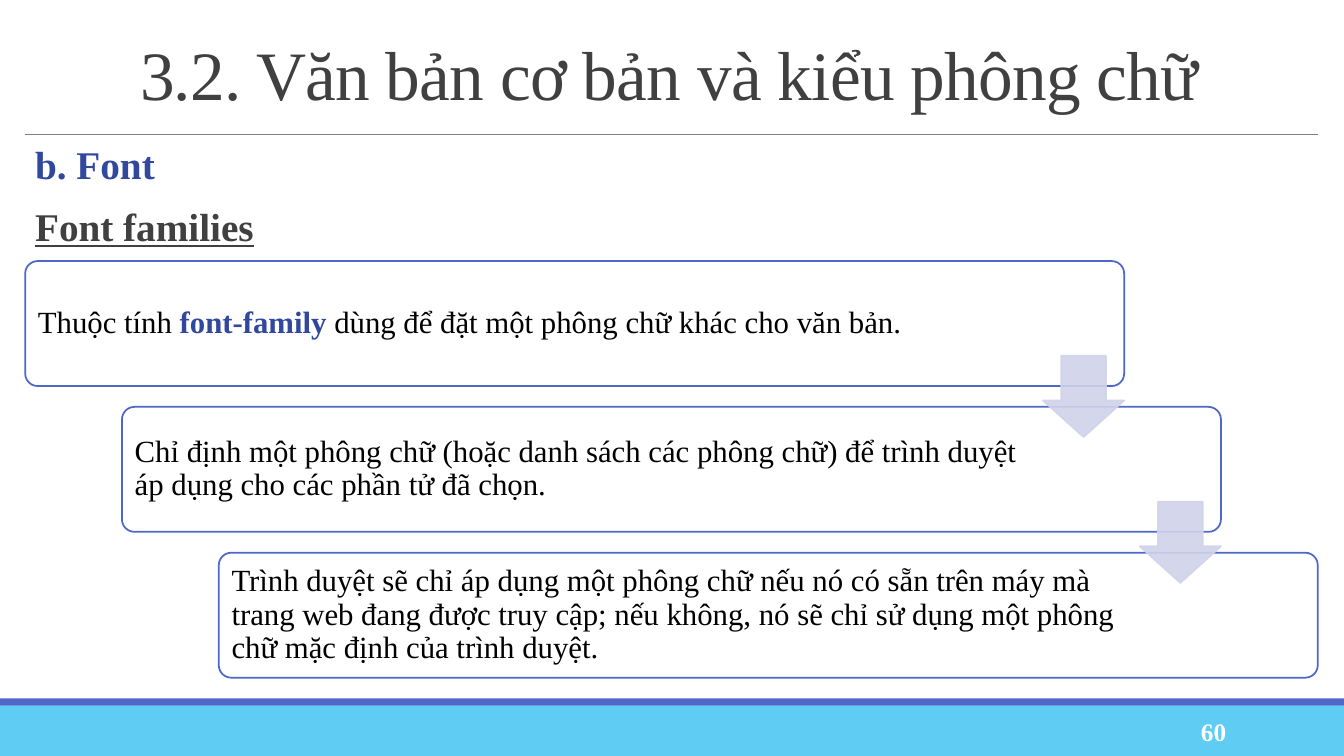
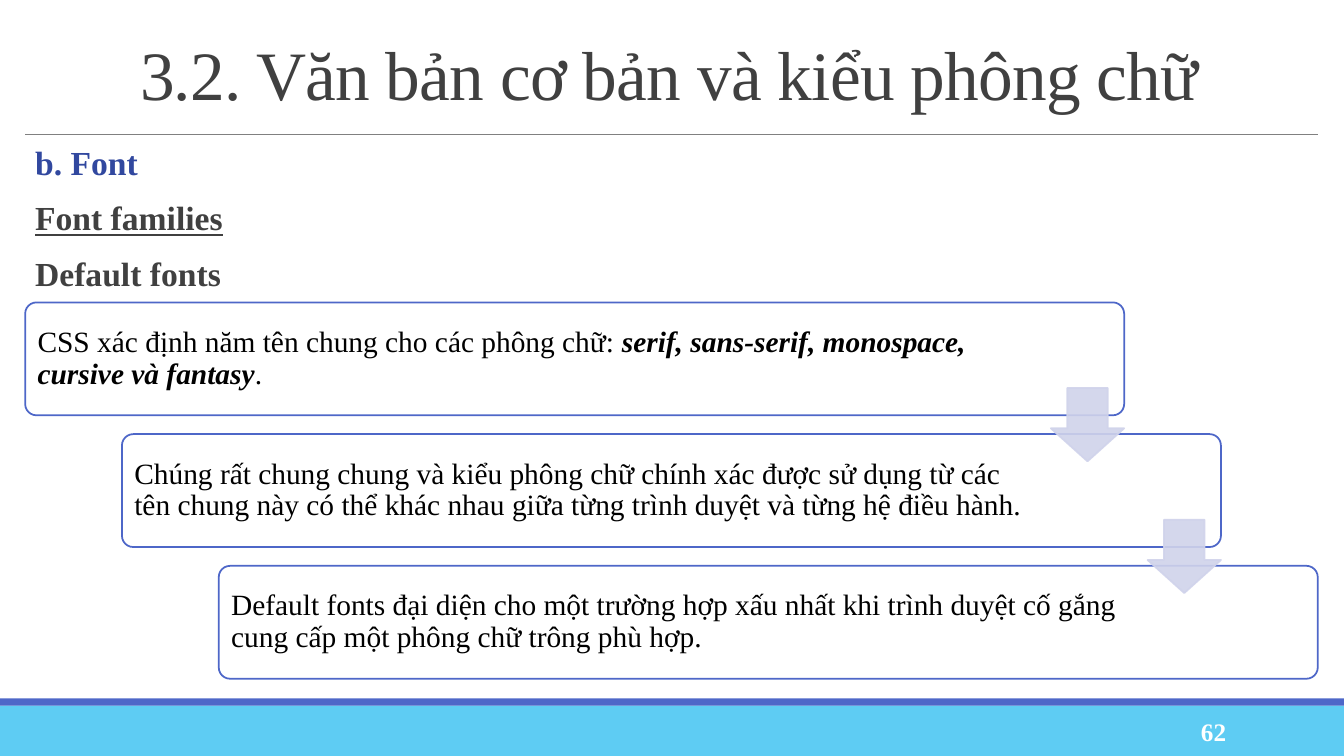
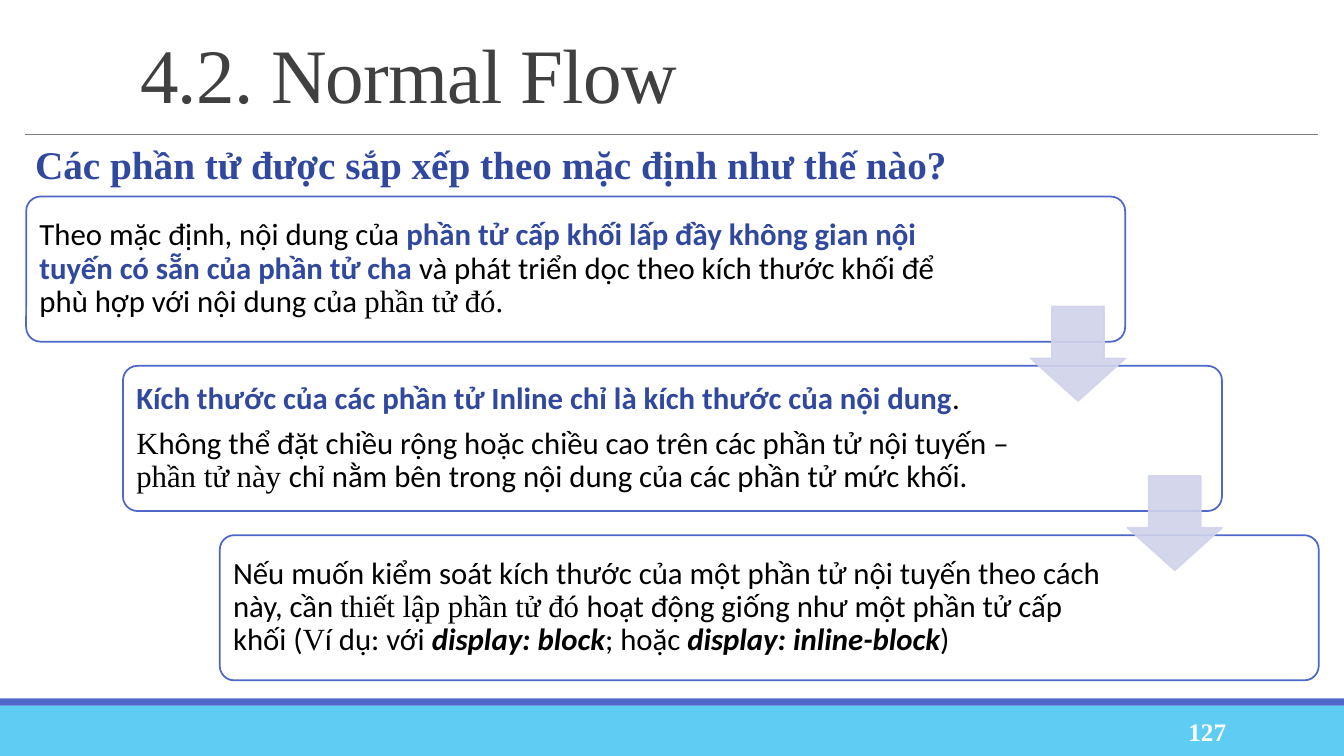
"""Build three lecture slides of cascading text cards on a shared frame."""
from dataclasses import dataclass
from enum import Enum

import lxml.etree
import pptx
import pptx.dml.color
import pptx.enum.shapes
import pptx.enum.text
import pptx.oxml.ns
import pptx.slide
import pptx.text.text
import pptx.util

Inches = pptx.util.Inches
Pt = pptx.util.Pt
RGB = pptx.dml.color.RGBColor
Shape = pptx.enum.shapes.MSO_SHAPE
Anchor = pptx.enum.text.MSO_ANCHOR
Align = pptx.enum.text.PP_ALIGN


@dataclass(frozen=True)
class Theme:
    serif: str = "Times New Roman"
    sans: str = "Calibri"
    white: RGB = RGB(0xFF, 0xFF, 0xFF)
    black: RGB = RGB(0, 0, 0)
    grey: RGB = RGB(0x40, 0x40, 0x40)
    rule: RGB = RGB(0x80, 0x80, 0x80)
    accent: RGB = RGB(0x4E, 0x67, 0xC8)
    key: RGB = RGB(0x31, 0x48, 0x9F)
    band: RGB = RGB(0x5E, 0xCC, 0xF3)
    arrow: RGB = RGB(0xD0, 0xD3, 0xEB)
    arrow_opacity: int = 90
    number_size: float = 18
    outline: float = 1.25


THEME = Theme()
CARD_WIDTH = 10.9
CARD_STEP = 0.96
CARD_INSET = 0.09


class Style(Enum):
    PLAIN = "plain"
    KEY = "key"
    STRONG = "strong"


@dataclass(frozen=True)
class Span:
    text: str
    style: Style = Style.PLAIN
    font: str = THEME.serif


@dataclass(frozen=True)
class Heading:
    text: str
    color: RGB = THEME.grey
    underline: bool = False


@dataclass(frozen=True)
class Cascade:
    left: float
    top: float
    height: float
    text_size: float
    first_margin: float
    cards: list[list[list[Span]]]


@dataclass(frozen=True)
class Lesson:
    title: str
    title_size: float
    number: str
    heading_size: float
    headings: list[Heading]
    cascade: Cascade


def sans(text: str, style: Style = Style.PLAIN) -> Span:
    """Return a span in the sans font."""
    return Span(text, style, THEME.sans)


def set_font(font: pptx.text.text.Font, size: float, color: RGB,
             name: str = THEME.serif, bold: bool = False) -> None:
    """Apply the basic character format."""
    font.name = name
    font.size = Pt(size)
    font.bold = bold
    font.color.rgb = color


def add_block(slide: pptx.slide.Slide, kind: Shape, left: float, top: float,
              width: float, height: float, fill: RGB, line: RGB | None = None):
    """Draw a flat preset shape and return it."""
    block = slide.shapes.add_shape(
        kind, Inches(left), Inches(top), Inches(width), Inches(height))
    block.shadow.inherit = False
    block.fill.solid()
    block.fill.fore_color.rgb = fill
    if line is None:
        block.line.fill.background()
    else:
        block.line.color.rgb = line
        block.line.width = Pt(THEME.outline)
    return block


def add_text(slide: pptx.slide.Slide, left: float, top: float, width: float,
             height: float, anchor: Anchor) -> pptx.text.text.TextFrame:
    """Add a wrapping text box and return its frame."""
    frame = slide.shapes.add_textbox(
        Inches(left), Inches(top), Inches(width), Inches(height)).text_frame
    frame.word_wrap = True
    frame.vertical_anchor = anchor
    return frame


def draw_frame(slide: pptx.slide.Slide, lesson: Lesson) -> None:
    """Draw the bands, rule, title and slide number."""
    add_block(slide, Shape.RECTANGLE, 0, 7, 13.33, 0.5, THEME.band)
    add_block(slide, Shape.RECTANGLE, 0, 6.93, 13.33, 0.07, THEME.accent)
    rule = slide.shapes.add_connector(
        pptx.enum.shapes.MSO_CONNECTOR.STRAIGHT,
        Inches(0.25), Inches(1.33), Inches(13.07), Inches(1.33))
    rule.line.color.rgb = THEME.rule
    rule.line.width = Pt(0.5)
    lxml.etree.SubElement(rule._element.spPr, pptx.oxml.ns.qn("a:effectLst"))

    title = add_text(slide, 1.29, 0.31, 11.78, 0.96, Anchor.MIDDLE).paragraphs[0]
    title.text = lesson.title
    title.line_spacing = 0.85
    set_font(title.runs[0].font, lesson.title_size, THEME.grey)
    title.runs[0]._r.get_or_add_rPr().set("spc", "-50")

    number = add_text(slide, 10.83, 7.06, 1.43, 0.4, Anchor.MIDDLE).paragraphs[0]
    number.text = lesson.number
    number.alignment = Align.RIGHT
    set_font(number.runs[0].font, THEME.number_size, THEME.white, bold=True)


def draw_headings(slide: pptx.slide.Slide, lesson: Lesson) -> None:
    """Write the headings under the rule."""
    frame = add_text(slide, 0.25, 1.4, 12.82, 5.34, Anchor.TOP)
    frame.text = "\n".join(heading.text for heading in lesson.headings)
    for index, (paragraph, heading) in enumerate(zip(frame.paragraphs, lesson.headings)):
        paragraph.line_spacing = 0.9
        paragraph.space_after = Pt(2)
        if index:
            paragraph.space_before = Pt(12)
        font = paragraph.runs[0].font
        set_font(font, lesson.heading_size, heading.color, bold=True)
        font.underline = heading.underline


def fill_card(frame: pptx.text.text.TextFrame, paragraphs: list[list[Span]],
              size: float, right_margin: float) -> None:
    """Write styled paragraphs into a card."""
    frame.word_wrap = True
    frame.vertical_anchor = Anchor.MIDDLE
    frame.margin_left = frame.margin_top = frame.margin_bottom = Inches(CARD_INSET)
    frame.margin_right = Inches(right_margin)
    for index, spans in enumerate(paragraphs):
        paragraph = frame.add_paragraph() if index else frame.paragraphs[0]
        paragraph.alignment = Align.LEFT
        paragraph.line_spacing = 0.9
        if index:
            paragraph.space_before = Pt(8.5)
        for span in spans:
            run = paragraph.add_run()
            run.text = span.text
            color = THEME.key if span.style is Style.KEY else THEME.black
            set_font(run.font, size, color, span.font, span.style is not Style.PLAIN)
            run.font.italic = span.style is Style.STRONG


def draw_cascade(slide: pptx.slide.Slide, cascade: Cascade) -> None:
    """Draw the stepped cards, then the arrows between them."""
    height = cascade.height
    arrow_size = 0.65 * height
    corners = [(cascade.left + CARD_STEP * index, cascade.top + height * 7 / 6 * index)
               for index in range(len(cascade.cards))]
    for index, ((left, top), paragraphs) in enumerate(zip(corners, cascade.cards)):
        card = add_block(slide, Shape.ROUNDED_RECTANGLE, left, top,
                         CARD_WIDTH, height, THEME.white, THEME.accent)
        card.adjustments[0] = 0.1
        margin = CARD_STEP + arrow_size + CARD_INSET if index else cascade.first_margin
        fill_card(card.text_frame, paragraphs, cascade.text_size, margin)
    for left, top in corners[:-1]:
        arrow = add_block(slide, Shape.DOWN_ARROW, left + CARD_WIDTH - arrow_size,
                          top + 0.758 * height, arrow_size, arrow_size,
                          THEME.arrow, THEME.arrow)
        arrow.adjustments[0] = 0.55
        arrow.adjustments[1] = 0.45
        for color in arrow._element.spPr.iter(pptx.oxml.ns.qn("a:srgbClr")):
            alpha = lxml.etree.SubElement(color, pptx.oxml.ns.qn("a:alpha"))
            alpha.set("val", str(THEME.arrow_opacity * 1000))


FONT_TITLE = "3.2. Văn bản cơ bản và kiểu phông chữ"
FONT_HEADINGS = [Heading("b. Font", THEME.key), Heading("Font families", underline=True)]

LESSONS = [
    Lesson(FONT_TITLE, 49.5, "60", 28, FONT_HEADINGS, Cascade(0.25, 2.59, 1.24, 22, 1.36, [
        [[Span("Thuộc tính "), Span("font-family", Style.KEY),
          Span(" dùng để đặt một phông chữ khác cho văn bản.")]],
        [[Span("Chỉ định một phông chữ (hoặc danh sách các phông chữ) để trình duyệt "
               "áp dụng cho các phần tử đã chọn.")]],
        [[Span("Trình duyệt sẽ chỉ áp dụng một phông chữ nếu nó có sẵn trên máy mà "
               "trang web đang được truy cập; nếu không, nó sẽ chỉ sử dụng một phông "
               "chữ mặc định của trình duyệt.")]],
    ])),
    Lesson(FONT_TITLE, 49.5, "62", 24, [*FONT_HEADINGS, Heading("Default fonts")],
           Cascade(0.25, 3, 1.12, 21, 1.24, [
               [[Span("CSS xác định năm tên chung cho các phông chữ: "),
                 Span("serif, sans-serif, monospace, cursive và fantasy", Style.STRONG),
                 Span(".")]],
               [[Span("Chúng rất chung chung và kiểu phông chữ chính xác được sử dụng từ các "
                      "tên chung này có thể khác nhau giữa từng trình duyệt và từng hệ điều "
                      "hành.")]],
               [[Span("Default fonts đại diện cho một trường hợp xấu nhất khi trình duyệt cố "
                      "gắng cung cấp một phông chữ trông phù hợp.")]],
           ])),
    Lesson("4.2. Normal Flow", 55, "127", 28,
           [Heading("Các phần tử được sắp xếp theo mặc định như thế nào?", THEME.key)],
           Cascade(0.26, 1.95, 1.44, 22, 1.57, [
               [[sans("Theo mặc định, nội dung của "),
                 sans("phần tử cấp khối lấp đầy không gian nội tuyến có sẵn của phần tử cha ",
                      Style.KEY),
                 sans("và phát triển dọc theo kích thước khối để phù hợp với nội dung của "),
                 Span("phần tử đó.")]],
               [[sans("Kích thước của các phần tử Inline chỉ là kích thước của nội dung",
                      Style.KEY),
                 sans(".")],
                [Span("K"),
                 sans("hông thể đặt chiều rộng hoặc chiều cao trên các phần tử nội tuyến – "),
                 Span("phần tử này "),
                 sans("chỉ nằm bên trong nội dung của các phần tử mức khối.")]],
               [[sans("Nếu muốn kiểm soát kích thước của một phần tử nội tuyến theo cách "
                      "này, cần "),
                 Span("thiết lập phần tử đó "),
                 sans("hoạt động giống như một phần tử cấp khối ("),
                 Span("V"),
                 sans("í dụ: với "),
                 sans("display: block", Style.STRONG),
                 sans("; hoặc "),
                 sans("display: inline-block", Style.STRONG),
                 sans(")")]],
           ])),
]


def main() -> None:
    """Build and save the presentation."""
    deck = pptx.Presentation()
    deck.slide_width = Inches(13.33)
    deck.slide_height = Inches(7.5)
    for lesson in LESSONS:
        slide = deck.slides.add_slide(deck.slide_layouts[6])
        draw_frame(slide, lesson)
        draw_headings(slide, lesson)
        draw_cascade(slide, lesson.cascade)
    deck.save("out.pptx")


if __name__ == "__main__":
    main()
